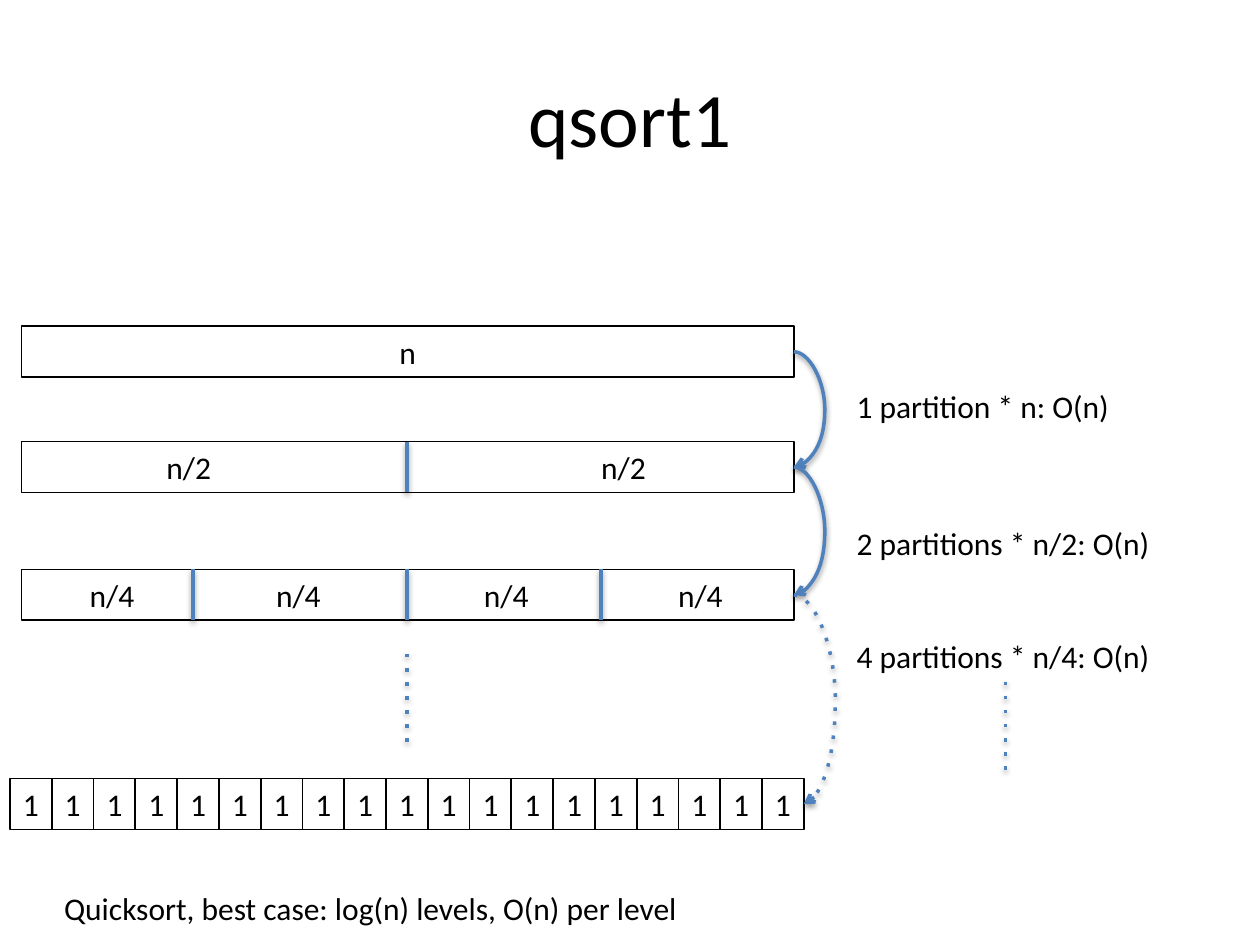
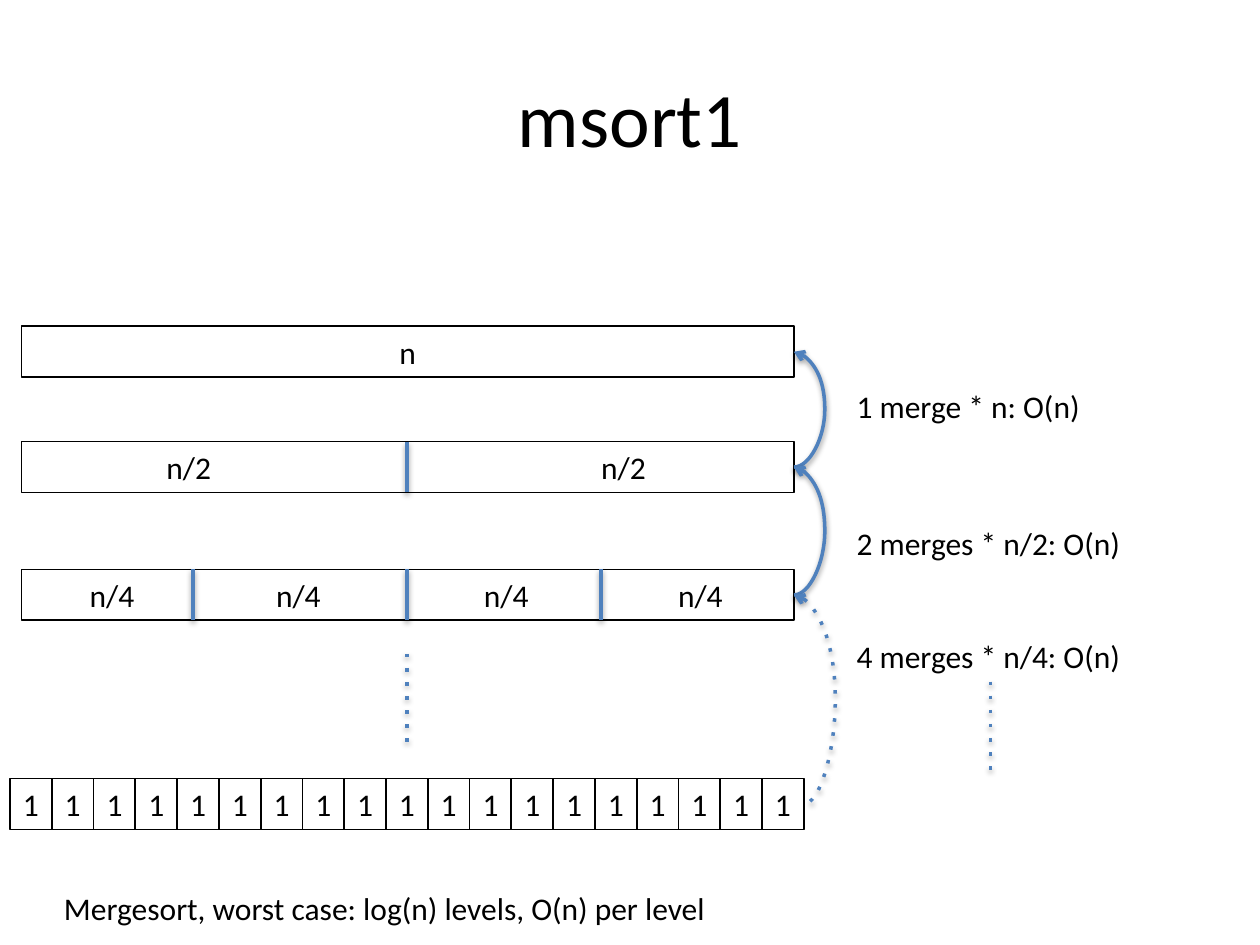
from dataclasses import dataclass
from typing import Optional

from lxml.etree import SubElement
from pptx import Presentation
from pptx.dml.color import RGBColor
from pptx.enum.shapes import MSO_CONNECTOR, MSO_SHAPE
from pptx.enum.text import MSO_ANCHOR, PP_ALIGN
from pptx.oxml.ns import qn
from pptx.util import Emu, Inches, Pt

# Shared look
BLACK = "000000"
BLUE = "4F81BD"
FONT = "Calibri"
TEXT_SIZE, TITLE_SIZE = 18, 44

# The slide is a grid of 100 columns by 75 rows; lengths are in its units
WIDTH, HEIGHT = Inches(10), Inches(7.5)
COLUMNS, ROWS = 100, 75
INSET = 1  # side margin of text in a box

# Places on the grid
BAR_LEFT, BAR_RIGHT = 1.7, 63
BAR_HEIGHT = 4.04
CELL_LEFT, CELL_RIGHT, CELL_TOP = 0.8, 63.8, 61.8
CELL_COUNT = 19
MIDDLE = 32.3
NOTE_LEFT = 67
DOTS_LENGTH = 7.7


@dataclass(frozen=True)
class Bar:
    top: float
    label: str
    centres: tuple[float, ...]
    dividers: tuple[float, ...] = ()

    @property
    def middle(self) -> float:
        return self.top + BAR_HEIGHT / 2


@dataclass(frozen=True)
class Note:
    top: float
    width: float
    text: str


@dataclass(frozen=True)
class SortSlide:
    title: str
    arrow_end: str
    notes: tuple[Note, ...]
    dots_column: float
    summary: Note


BARS = (
    Bar(25.9, "n", (32.35,)),
    Bar(35.05, "n/2", (15, 49.5), (MIDDLE,)),
    Bar(45.2, "n/4", (8.9, 23.7, 40.2, 55.6), (15.3, MIDDLE, 47.7)),
)

SLIDES = (
    SortSlide(
        "qsort1", "tailEnd",
        (Note(30.2, 22.3, "1 partition * n: O(n)"),
         Note(41.1, 25.5, "2 partitions * n/2: O(n)"),
         Note(50.1, 25.5, "4 partitions * n/4: O(n)")),
        79.8,
        Note(70.1, 51.2, "Quicksort, best case: log(n) levels, O(n) per level"),
    ),
    SortSlide(
        "msort1", "headEnd",
        (Note(30.2, 19.9, "1 merge * n: O(n)"),
         Note(41.1, 23.2, "2 merges * n/2: O(n)"),
         Note(50.1, 23.2, "4 merges * n/4: O(n)")),
        78.6,
        Note(70.1, 53.4, "Mergesort, worst case: log(n) levels, O(n) per level"),
    ),
)


def across(columns: float) -> Emu:
    return Emu(round(WIDTH * columns / COLUMNS))


def down(rows: float) -> Emu:
    return Emu(round(HEIGHT * rows / ROWS))


def area(left: float, top: float, width: float, height: float) -> tuple[Emu, ...]:
    return across(left), down(top), across(width), down(height)


def colour(value: str) -> RGBColor:
    return RGBColor.from_string(value)


def format_text(frame, size: int, align: PP_ALIGN) -> None:
    for para in frame.paragraphs:
        para.alignment = align
        for span in para.runs:
            span.font.name = FONT
            span.font.size = Pt(size)
            span.font.color.rgb = colour(BLACK)


def add_box(slide, left: float, top: float, width: float, text: str,
            align: PP_ALIGN = PP_ALIGN.CENTER, wrap: bool = True):
    box = slide.shapes.add_shape(MSO_SHAPE.RECTANGLE, *area(left, top, width, BAR_HEIGHT))
    box.shadow.inherit = False
    box.fill.background()
    box.line.color.rgb = colour(BLACK)
    box.line.width = Pt(1)
    frame = box.text_frame
    frame.word_wrap = wrap
    frame.vertical_anchor = MSO_ANCHOR.MIDDLE
    frame.text = text
    format_text(frame, TEXT_SIZE, align)
    return box


def add_note(slide, left: float, note: Note) -> None:
    box = slide.shapes.add_textbox(*area(left, note.top, note.width, BAR_HEIGHT))
    box.text_frame.word_wrap = False
    box.text_frame.text = note.text
    format_text(box.text_frame, TEXT_SIZE, PP_ALIGN.LEFT)


def add_line(slide, start: tuple[float, float], end: tuple[float, float],
             dotted: bool = False, arrow_end: Optional[str] = None,
             bulge: Optional[float] = None) -> None:
    """Draw a shadowed line; a bulge bends it that many columns to the right."""
    kind = MSO_CONNECTOR.CURVE if bulge else MSO_CONNECTOR.STRAIGHT
    line = slide.shapes.add_connector(
        kind, across(start[0]), down(start[1]), across(end[0]), down(end[1]))
    line.line.color.rgb = colour(BLUE)
    line.line.width = Pt(2)
    properties = line._element.spPr
    stroke = properties.find(qn("a:ln"))
    if dotted:
        SubElement(stroke, qn("a:prstDash"), val="dot")
    if arrow_end:
        SubElement(stroke, qn(f"a:{arrow_end}"), type="arrow")
    if bulge:
        ratio = round(100000 * bulge / (end[0] - start[0]))
        guides = properties.find(qn("a:prstGeom")).get_or_add_avLst()
        SubElement(guides, qn("a:gd"), name="adj1", fmla=f"val {ratio}")
    effects = SubElement(properties, qn("a:effectLst"))
    shadow = SubElement(effects, qn("a:outerShdw"), blurRad="40000", dist="20000",
                        dir="5400000", rotWithShape="0")
    shade = SubElement(shadow, qn("a:srgbClr"), val=BLACK)
    SubElement(shade, qn("a:alpha"), val="38000")


def add_bar(slide, bar: Bar) -> None:
    width = BAR_RIGHT - BAR_LEFT
    if len(bar.centres) == 1:
        add_box(slide, BAR_LEFT, bar.top, width, bar.label)
    else:
        # One centred tab stop for each part of the bar
        text = "".join(f"\t{bar.label}" for _ in bar.centres)
        box = add_box(slide, BAR_LEFT, bar.top, width, text, PP_ALIGN.LEFT)
        settings = box.text_frame.paragraphs[0]._p.get_or_add_pPr()
        stops = SubElement(settings, qn("a:tabLst"))
        for centre in bar.centres:
            place = across(centre - BAR_LEFT - INSET)
            SubElement(stops, qn("a:tab"), pos=str(place), algn="ctr")
    for column in bar.dividers:
        add_line(slide, (column, bar.top), (column, bar.top + BAR_HEIGHT))


def add_cells(slide) -> None:
    width = (CELL_RIGHT - CELL_LEFT) / CELL_COUNT
    for index in range(CELL_COUNT):
        add_box(slide, CELL_LEFT + index * width, CELL_TOP, width, "1", wrap=False)


def add_level_arrows(slide, arrow_end: str) -> None:
    for upper, lower in zip(BARS, BARS[1:]):
        add_line(slide, (BAR_RIGHT, upper.middle), (BAR_RIGHT + 0.02, lower.middle),
                 arrow_end=arrow_end, bulge=2.5)
    add_line(slide, (BAR_RIGHT, BARS[-1].middle), (CELL_RIGHT, CELL_TOP + BAR_HEIGHT / 2),
             dotted=True, arrow_end=arrow_end, bulge=3.3)


def add_dots(slide, column: float, top: float) -> None:
    add_line(slide, (column, top), (column, top + DOTS_LENGTH), dotted=True)


def add_title(slide, text: str) -> None:
    title = slide.shapes.title
    title.left, title.top, title.width, title.height = area(5, 3, 90, 12.5)
    title.text_frame.text = text
    title.text_frame.vertical_anchor = MSO_ANCHOR.MIDDLE
    format_text(title.text_frame, TITLE_SIZE, PP_ALIGN.CENTER)


def build_slide(deck, content: SortSlide) -> None:
    page = deck.slides.add_slide(deck.slide_layouts[5])
    add_title(page, content.title)
    # Levels of the recursion
    for bar in BARS:
        add_bar(page, bar)
    add_cells(page)
    add_dots(page, MIDDLE, 51.9)
    add_level_arrows(page, content.arrow_end)
    # Cost of each level
    for note in content.notes:
        add_note(page, NOTE_LEFT, note)
    add_dots(page, content.dots_column, 54.1)
    add_note(page, 4.1, content.summary)


def main() -> None:
    deck = Presentation()
    deck.slide_width, deck.slide_height = WIDTH, HEIGHT
    for content in SLIDES:
        build_slide(deck, content)
    deck.save("out.pptx")


if __name__ == "__main__":
    main()
